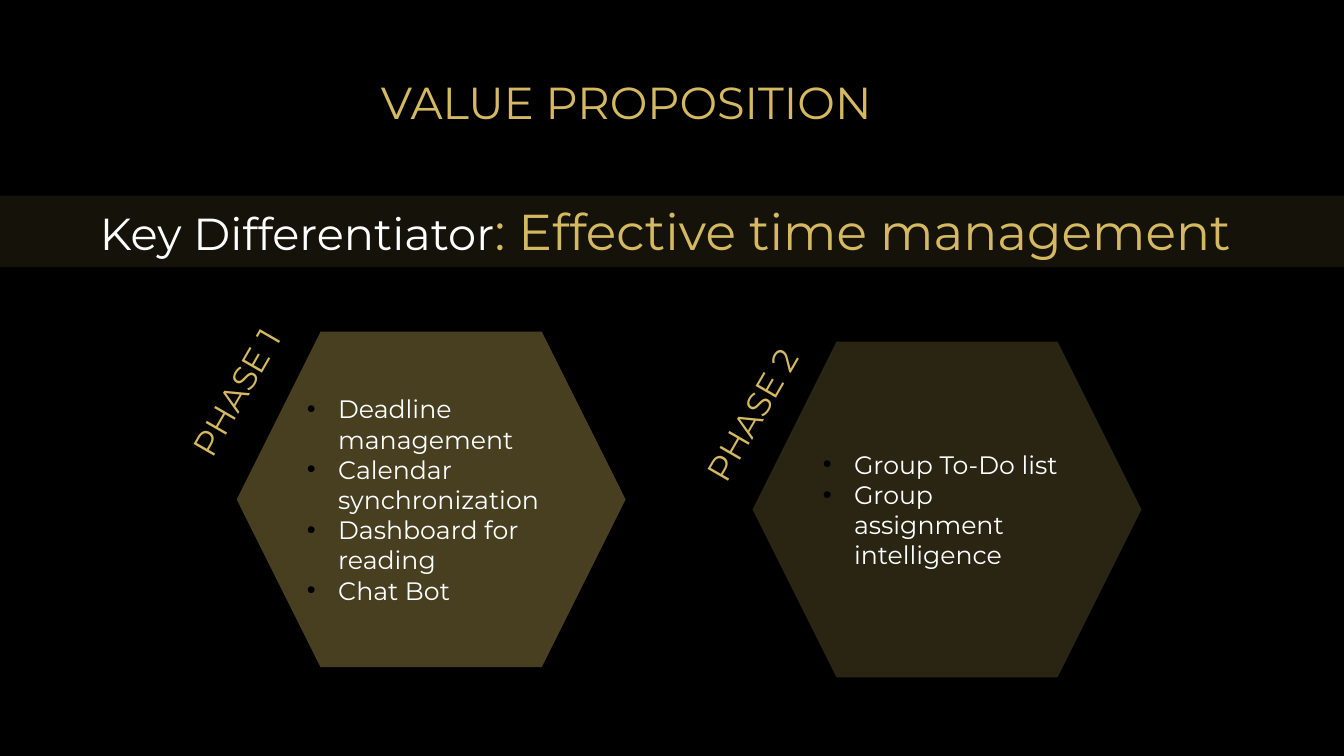
from lxml import etree
from pptx import Presentation
from pptx.dml.color import RGBColor
from pptx.enum import shapes, text
from pptx.oxml import ns
from pptx.util import Inches, Pt

FONT = "Montserrat"
COLORS = {"background": "000000", "gold": "D5B961", "white": "FFFFFF", "bullet": "000000"}
HEXAGON_SIZE = (3.86, 3.33)
BULLET_INDENT = Inches(0.31)

# Left, top, fill opacity in percent, list items
PHASE_HEXAGONS = [
    (2.35, 3.29, 34, ["Deadline management", "Calendar synchronization",
                      "Dashboard for reading", "Chat Bot"]),
    (7.47, 3.39, 20, ["Group To-Do list", "Group assignment intelligence"]),
]
# Left, top, width, label
PHASE_LABELS = [(1.55, 3.63, 1.6, "PHASE 1"), (6.63, 3.85, 1.67, "PHASE 2")]


def color(name):
    return RGBColor.from_string(COLORS[name])


def format_font(font, size, color_name):
    font.name = FONT
    font.size = Pt(size)
    font.color.rgb = color(color_name)


def add_gold_shape(slide, kind, left, top, width, height, opacity):
    shape = slide.shapes.add_shape(
        kind, Inches(left), Inches(top), Inches(width), Inches(height))
    shape.shadow.inherit = False
    shape.line.fill.background()
    shape.fill.solid()
    shape.fill.fore_color.rgb = color("gold")
    fill_color = shape.fill._xPr.find(".//" + ns.qn("a:srgbClr"))
    etree.SubElement(fill_color, ns.qn("a:alpha"), val=str(opacity * 1000))
    shape.text_frame.word_wrap = True
    return shape


def add_bullet(paragraph):
    properties = paragraph._p.get_or_add_pPr()
    properties.set("marL", str(BULLET_INDENT))
    properties.set("indent", str(-BULLET_INDENT))
    bullet_color = etree.SubElement(properties, ns.qn("a:buClr"))
    etree.SubElement(bullet_color, ns.qn("a:srgbClr"), val=COLORS["bullet"])
    etree.SubElement(properties, ns.qn("a:buFont"), typeface="Arial")
    etree.SubElement(properties, ns.qn("a:buChar"), char="•")


def add_title(slide):
    title = slide.shapes.title
    title.left, title.top = Inches(3.68), Inches(0.69)
    title.width, title.height = Inches(5.97), Inches(0.64)
    frame = title.text_frame
    frame.text = "VALUE PROPOSITION"
    frame.auto_size = text.MSO_AUTO_SIZE.SHAPE_TO_FIT_TEXT
    frame.vertical_anchor = text.MSO_ANCHOR.TOP
    paragraph = frame.paragraphs[0]
    paragraph.alignment = text.PP_ALIGN.LEFT
    format_font(paragraph.runs[0].font, 32, "gold")


def add_banner(slide, width):
    banner = add_gold_shape(
        slide, shapes.MSO_SHAPE.RECTANGLE, 0, 1.94, width, 0.71, 10)
    frame = banner.text_frame
    frame.vertical_anchor = text.MSO_ANCHOR.TOP
    frame.auto_size = text.MSO_AUTO_SIZE.SHAPE_TO_FIT_TEXT
    paragraph = frame.paragraphs[0]
    paragraph.alignment = text.PP_ALIGN.CENTER
    for words, size, color_name in [
            ("Key Differentiator", 32, "white"),
            (": Effective time management ", 36, "gold")]:
        run = paragraph.add_run()
        run.text = words
        format_font(run.font, size, color_name)


def add_phase_hexagon(slide, left, top, opacity, items):
    hexagon = add_gold_shape(
        slide, shapes.MSO_SHAPE.HEXAGON, left, top, *HEXAGON_SIZE, opacity)
    frame = hexagon.text_frame
    frame.vertical_anchor = text.MSO_ANCHOR.MIDDLE
    frame.text = "\n".join(items)
    for paragraph in frame.paragraphs:
        paragraph.alignment = text.PP_ALIGN.LEFT
        add_bullet(paragraph)
        format_font(paragraph.runs[0].font, 18, "white")


def add_phase_label(slide, left, top, width, label):
    box = slide.shapes.add_textbox(
        Inches(left), Inches(top), Inches(width), Inches(0.5))
    box.rotation = 300
    frame = box.text_frame
    frame.text = label
    frame.word_wrap = False
    frame.auto_size = text.MSO_AUTO_SIZE.SHAPE_TO_FIT_TEXT
    format_font(frame.paragraphs[0].runs[0].font, 24, "gold")


def main():
    presentation = Presentation()
    presentation.slide_width = Inches(13.34)
    presentation.slide_height = Inches(7.5)
    slide = presentation.slides.add_slide(presentation.slide_layouts[5])
    slide.background.fill.solid()
    slide.background.fill.fore_color.rgb = color("background")

    # Heading and key message
    add_title(slide)
    add_banner(slide, 13.34)

    # Phases
    for hexagon in PHASE_HEXAGONS:
        add_phase_hexagon(slide, *hexagon)
    for label in PHASE_LABELS:
        add_phase_label(slide, *label)

    presentation.save("out.pptx")


if __name__ == "__main__":
    main()
